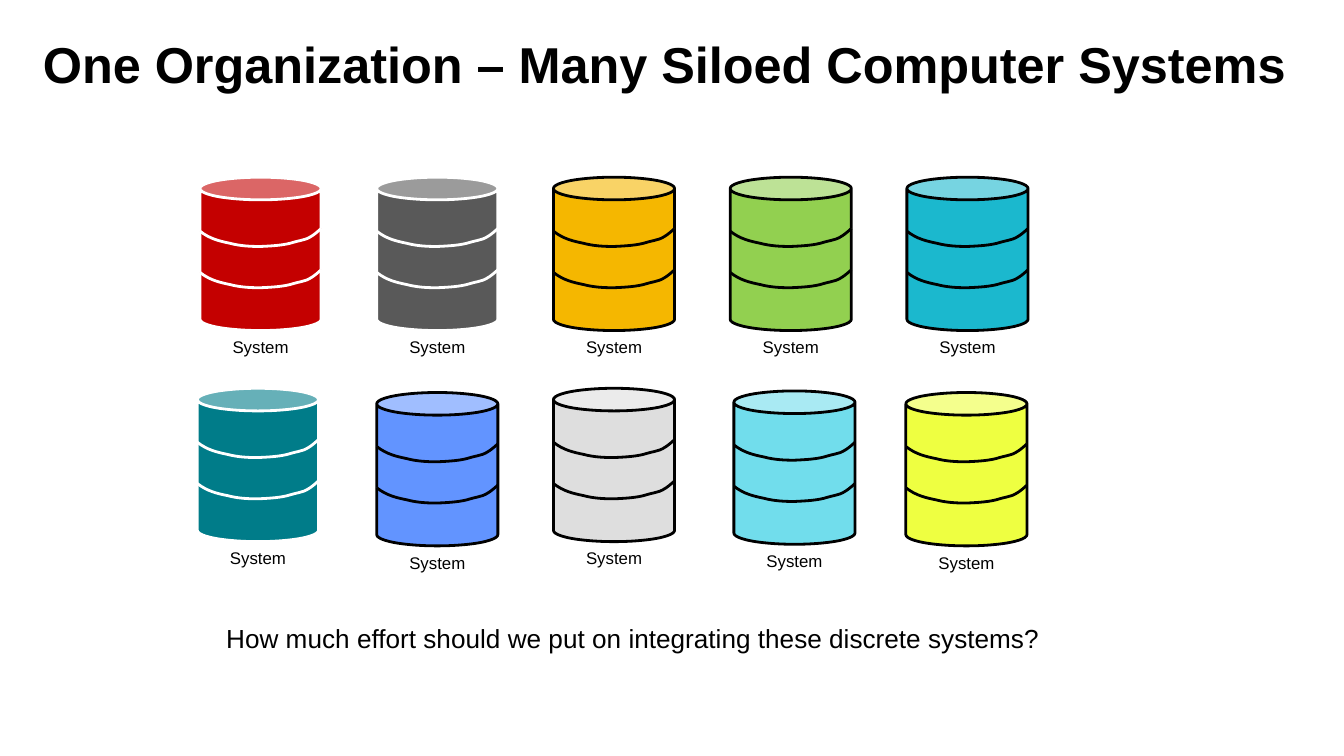
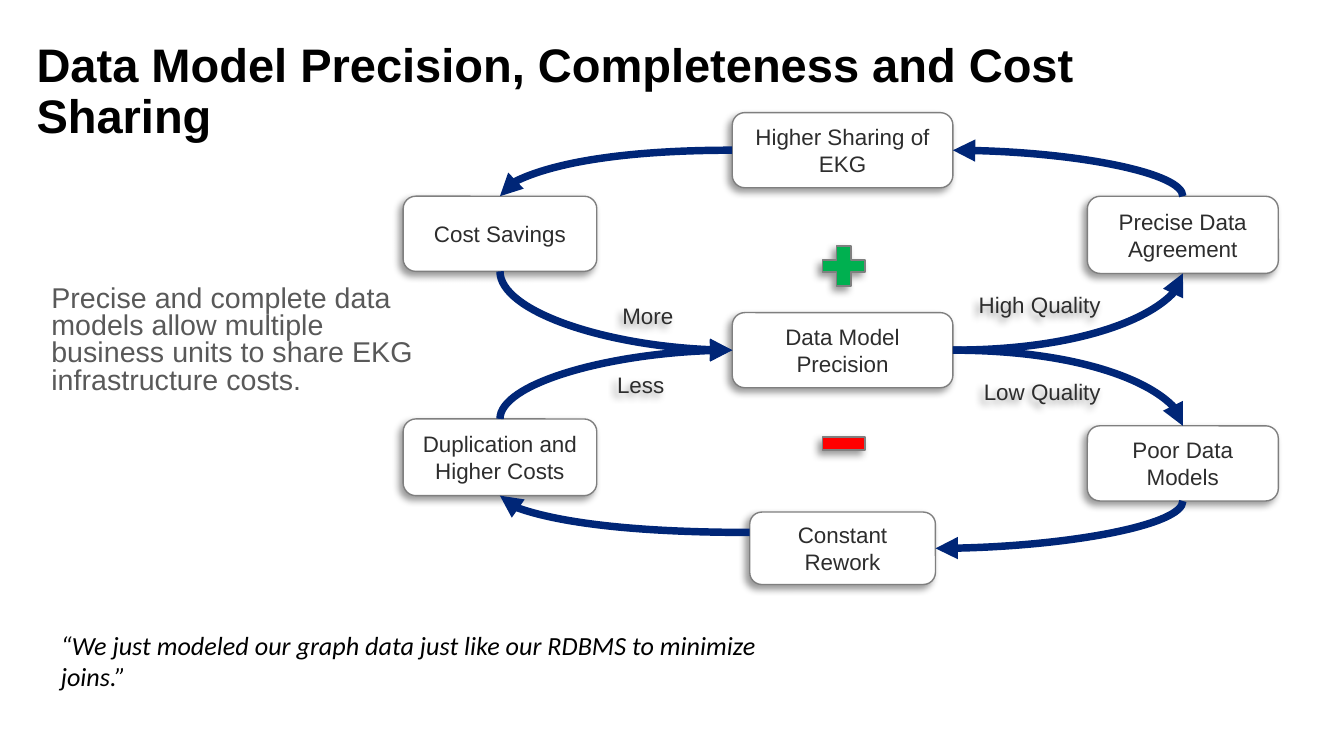
from lxml import etree
from pptx import Presentation
from pptx.dml.color import RGBColor
from pptx.enum.shapes import MSO_CONNECTOR, MSO_SHAPE
from pptx.enum.text import MSO_ANCHOR as ANCHOR, MSO_AUTO_SIZE as AUTO, PP_ALIGN as ALIGN
from pptx.oxml.ns import qn
from pptx.util import Cm, Pt

# Colours
BLACK = RGBColor(0x00, 0x00, 0x00)
WHITE = RGBColor(0xFF, 0xFF, 0xFF)
INK = RGBColor(0x2D, 0x2D, 0x2D)
BODY_GRAY = RGBColor(0x59, 0x59, 0x59)
BORDER = RGBColor(0x7F, 0x7F, 0x7F)
NAVY = RGBColor(0x00, 0x26, 0x77)
GREEN = RGBColor(0x00, 0xB0, 0x50)
RED = RGBColor(0xFF, 0x00, 0x00)
CRIMSON = RGBColor(0xC4, 0x00, 0x00)
GOLD = RGBColor(0xF5, 0xB7, 0x00)
LIME = RGBColor(0x92, 0xD0, 0x50)
CYAN = RGBColor(0x1B, 0xB8, 0xCE)
TEAL = RGBColor(0x00, 0x7C, 0x89)
BLUE = RGBColor(0x62, 0x94, 0xFF)
SILVER = RGBColor(0xDE, 0xDE, 0xDE)
AQUA = RGBColor(0x71, 0xDD, 0xEC)
YELLOW = RGBColor(0xEE, 0xFF, 0x41)

FONT = "Arial"
INSETS = (0.18, 0.1)

# Systems by row: fill, outline, filled bands, nudge right, nudge down
SYSTEM_ROWS = [
    (3.35, [(CRIMSON, WHITE, True, 0, 0), (BODY_GRAY, WHITE, False, 0, 0),
            (GOLD, BLACK, True, 0, 0), (LIME, BLACK, True, 0, 0),
            (CYAN, BLACK, True, 0, 0)]),
    (7.34, [(TEAL, WHITE, False, -0.05, 0), (BLUE, BLACK, True, 0, 0.08),
            (SILVER, BLACK, False, 0, 0), (AQUA, BLACK, False, 0.07, 0.05),
            (YELLOW, BLACK, True, -0.02, 0.08)]),
]
SYSTEM_LEFT, SYSTEM_STEP = 3.78, 3.34
CAN_W, CAN_H = 2.29, 2.9
# Band curve: start point, then three Bezier points per segment
BAND = [(0, 0.05), (0.19, 0.2), (0.38, 0.24), (0.57, 0.28),
        (0.76, 0.33), (0.95, 0.34), (1.14, 0.34),
        (1.35, 0.33), (1.59, 0.32), (1.77, 0.26),
        (1.97, 0.2), (2.03, 0.24), (2.29, 0)]

# Connection sites of a rounded box: index and relative position
SITES = {"top": (0, 0.5, 0), "left": (1, 0, 0.5),
         "bottom": (2, 0.5, 1), "right": (3, 1, 0.5)}


def cm_box(x, y, w, h):
    return Cm(x), Cm(y), Cm(w), Cm(h)


def set_frame(tf, insets=(0, 0), anchor=ANCHOR.TOP, wrap=True):
    tf.auto_size = AUTO.NONE
    tf.word_wrap = wrap
    tf.vertical_anchor = anchor
    tf.margin_left = tf.margin_right = Cm(insets[0])
    tf.margin_top = tf.margin_bottom = Cm(insets[1])


def add_run(p, text, size, color, font=FONT, bold=False, italic=False):
    r = p.add_run()
    r.text = text
    f = r.font
    f.name, f.size, f.bold, f.italic = font, Pt(size), bold, italic
    f.color.rgb = color


def write(tf, text, size, color, align=ALIGN.LEFT, **style):
    for i, line in enumerate(text.split("\n")):
        p = tf.add_paragraph() if i else tf.paragraphs[0]
        p.alignment = align
        add_run(p, line, size, color, **style)


def fill_placeholder(sp, box, text, size, color, spacing, bold=False):
    sp.left, sp.top, sp.width, sp.height = cm_box(*box)
    set_frame(sp.text_frame)
    p = sp.text_frame.paragraphs[0]
    pPr = p._p.get_or_add_pPr()
    pPr.set("marL", "0")
    pPr.set("indent", "0")
    etree.SubElement(pPr, qn("a:buNone"))
    p.line_spacing = spacing
    p.space_before = Pt(0)
    p.alignment = ALIGN.LEFT
    add_run(p, text, size, color, bold=bold)
    return p


def add_title(sl, box, text, size):
    fill_placeholder(sl.shapes.title, box, text, size, BLACK, 0.9, bold=True)


def add_text(shapes, box, text, size, color, align=ALIGN.LEFT, insets=INSETS,
             anchor=ANCHOR.TOP, wrap=True, **style):
    sp = shapes.add_textbox(*cm_box(*box))
    set_frame(sp.text_frame, insets, anchor, wrap)
    write(sp.text_frame, text, size, color, align, **style)
    return sp


def add_shadow(sp):
    effects = etree.SubElement(sp._element.spPr, qn("a:effectLst"))
    shadow = etree.SubElement(effects, qn("a:outerShdw"), blurRad=str(Pt(4)),
                              dist=str(Pt(3)), dir="8100000", rotWithShape="0")
    color = etree.SubElement(shadow, qn("a:srgbClr"), val=str(BLACK))
    etree.SubElement(color, qn("a:alpha"), val="40000")


def paint(sp, fill, line, width):
    if fill is None:
        sp.fill.background()
    else:
        sp.fill.solid()
        sp.fill.fore_color.rgb = fill
    sp.line.color.rgb = line
    sp.line.width = Pt(width)


# Slide 1 elements
def add_band(shapes, x, y, fill, line):
    points = [(Cm(x + dx), Cm(y + dy)) for dx, dy in BAND]
    builder = shapes.build_freeform(*points[0])
    builder.add_line_segments(points[1:], close=False)
    sp = builder.convert_to_shape()
    # Turn each three straight steps into one Bezier segment
    outline = next(sp._element.iter(qn("a:path")))
    steps = outline.findall(qn("a:lnTo"))
    for i in range(0, len(steps), 3):
        curve = etree.SubElement(outline, qn("a:cubicBezTo"))
        for step in steps[i:i + 3]:
            curve.append(step[0])
            outline.remove(step)
    paint(sp, fill, line, 1.5)
    sp.shadow.inherit = False


def add_system(sl, x, y, fill, line, filled_bands):
    shapes = sl.shapes.add_group_shape().shapes
    can = shapes.add_shape(MSO_SHAPE.CAN, *cm_box(x, y, CAN_W, CAN_H))
    can.adjustments[0] = 0.187
    paint(can, fill, line, 1.5)
    can.shadow.inherit = False
    for drop in (0.97, 1.75):
        add_band(shapes, x, y + drop, fill if filled_bands else None, line)
    add_text(shapes, (x + 0.42, y + 2.92, 1.45, 0.58), "System", 9, BLACK,
             ALIGN.CENTER, wrap=False)


# Slide 2 elements
def add_symbol(sl, kind, box, fill):
    sp = sl.shapes.add_shape(kind, *cm_box(*box))
    paint(sp, fill, BORDER, 0.75)
    add_shadow(sp)
    return sp


def add_node(sl, text, box):
    sp = add_symbol(sl, MSO_SHAPE.ROUNDED_RECTANGLE, box, WHITE)
    set_frame(sp.text_frame, INSETS, ANCHOR.MIDDLE)
    write(sp.text_frame, text, 12, INK, ALIGN.CENTER)
    return sp


def site_point(sp, side):
    _, fx, fy = SITES[side]
    return sp.left + sp.width * fx, sp.top + sp.height * fy


def add_curve(sl, start, start_side, end, end_side, lift=0):
    x1, y1 = site_point(start, start_side)
    x2, y2 = site_point(end, end_side)
    y1 -= Cm(lift)
    c = sl.shapes.add_connector(MSO_CONNECTOR.CURVE, 0, 0, 0, 0)
    if not lift:
        c.begin_connect(start, SITES[start_side][0])
    c.end_connect(end, SITES[end_side][0])
    # The preset leaves sideways, so a vertical start needs a quarter turn
    dx, dy = x2 - x1, y2 - y1
    vertical = start_side in ("top", "bottom")
    if vertical:
        dx, dy = dy, -dx
    mid_x, mid_y = (x1 + x2) / 2, (y1 + y2) / 2
    spPr = c._element.spPr
    xfrm = spPr.find(qn("a:xfrm"))
    for flip, delta in (("flipH", dx), ("flipV", dy)):
        xfrm.set(flip, "1" if delta < 0 else "0")
    if vertical:
        xfrm.set("rot", "5400000")
    c.left, c.top = int(mid_x - abs(dx) / 2), int(mid_y - abs(dy) / 2)
    c.width, c.height = int(abs(dx)), int(abs(dy))
    spPr.find(qn("a:prstGeom")).set("prst", "curvedConnector2")
    c.line.color.rgb = NAVY
    c.line.width = Pt(4)
    etree.SubElement(c.line._get_or_add_ln(), qn("a:tailEnd"), type="triangle")
    etree.SubElement(spPr, qn("a:effectLst"))


def build_silos(prs):
    sl = prs.slides.add_slide(prs.slide_layouts[5])
    add_title(sl, (0.81, 0.76, 23.55, 1.04),
              "One Organization – Many Siloed Computer Systems", 27)
    for top, systems in SYSTEM_ROWS:
        for i, (fill, line, filled, dx, dy) in enumerate(systems):
            add_system(sl, SYSTEM_LEFT + i * SYSTEM_STEP + dx, top + dy,
                       fill, line, filled)
    add_text(sl.shapes, (4.14, 11.76, 15.65, 0.61),
             "How much effort should we put on integrating these discrete systems?",
             14, BLACK, ALIGN.CENTER, insets=(0, 0))


def build_precision(prs):
    sl = prs.slides.add_slide(prs.slide_layouts[1])
    add_title(sl, (0.69, 0.79, 21.89, 1.07),
              "Data Model Precision, Completeness and Cost Sharing", 25.2)
    p = fill_placeholder(sl.placeholders[1], (0.97, 5.41, 7.32, 2.49),
                         "Precise and complete data models allow multiple business "
                         "units to share EKG infrastructure costs.",
                         15.3, BODY_GRAY, 0.8)
    p.space_after = Pt(12)
    add_text(sl.shapes, (0.97, 11.79, 14.45, 1.4),
             "“We just modeled our graph data just like our RDBMS to minimize joins.”",
             14, BLACK, font="Calibri", italic=True)

    # Branch labels
    for text, box in [("More", (11.56, 5.61, 1.37, 0.71)),
                      ("Less", (11.46, 6.91, 1.3, 0.71)),
                      ("High Quality", (18.29, 5.41, 2.72, 0.71)),
                      ("Low Quality", (18.39, 7.04, 2.62, 0.71))]:
        add_shadow(add_text(sl.shapes, box, text, 12, INK, ALIGN.CENTER,
                            anchor=ANCHOR.MIDDLE, wrap=False))

    # Loop signs
    plus = add_symbol(sl, MSO_SHAPE.CROSS, (15.54, 4.65, 0.81, 0.76), GREEN)
    plus.adjustments[0] = 0.348
    add_symbol(sl, MSO_SHAPE.RECTANGLE, (15.54, 8.26, 0.81, 0.25), RED)

    # Boxes of the two loops
    rework = add_node(sl, "Constant\nRework", (14.17, 9.68, 3.51, 1.37))
    agreement = add_node(sl, "Precise Data Agreement", (20.55, 3.71, 3.61, 1.46))
    sharing = add_node(sl, "Higher Sharing of EKG", (13.84, 2.13, 4.17, 1.42))
    poor = add_node(sl, "Poor Data Models", (20.55, 8.05, 3.61, 1.42))
    savings = add_node(sl, "Cost Savings", (7.62, 3.71, 3.66, 1.42))
    duplication = add_node(sl, "Duplication and Higher Costs", (7.62, 7.92, 3.66, 1.45))
    precision = add_node(sl, "Data Model Precision", (13.84, 5.91, 4.17, 1.42))

    # Arrows
    add_curve(sl, sharing, "left", savings, "top")
    add_curve(sl, agreement, "top", sharing, "right")
    add_curve(sl, precision, "right", agreement, "bottom")
    add_curve(sl, savings, "bottom", precision, "left")
    add_curve(sl, duplication, "top", precision, "left")
    add_curve(sl, precision, "right", poor, "top")
    add_curve(sl, rework, "left", duplication, "bottom", lift=0.3)
    add_curve(sl, poor, "bottom", rework, "right")


def main():
    prs = Presentation()
    prs.slide_width, prs.slide_height = Cm(25.4), Cm(14.29)
    build_silos(prs)
    build_precision(prs)
    prs.save("out.pptx")


if __name__ == "__main__":
    main()
